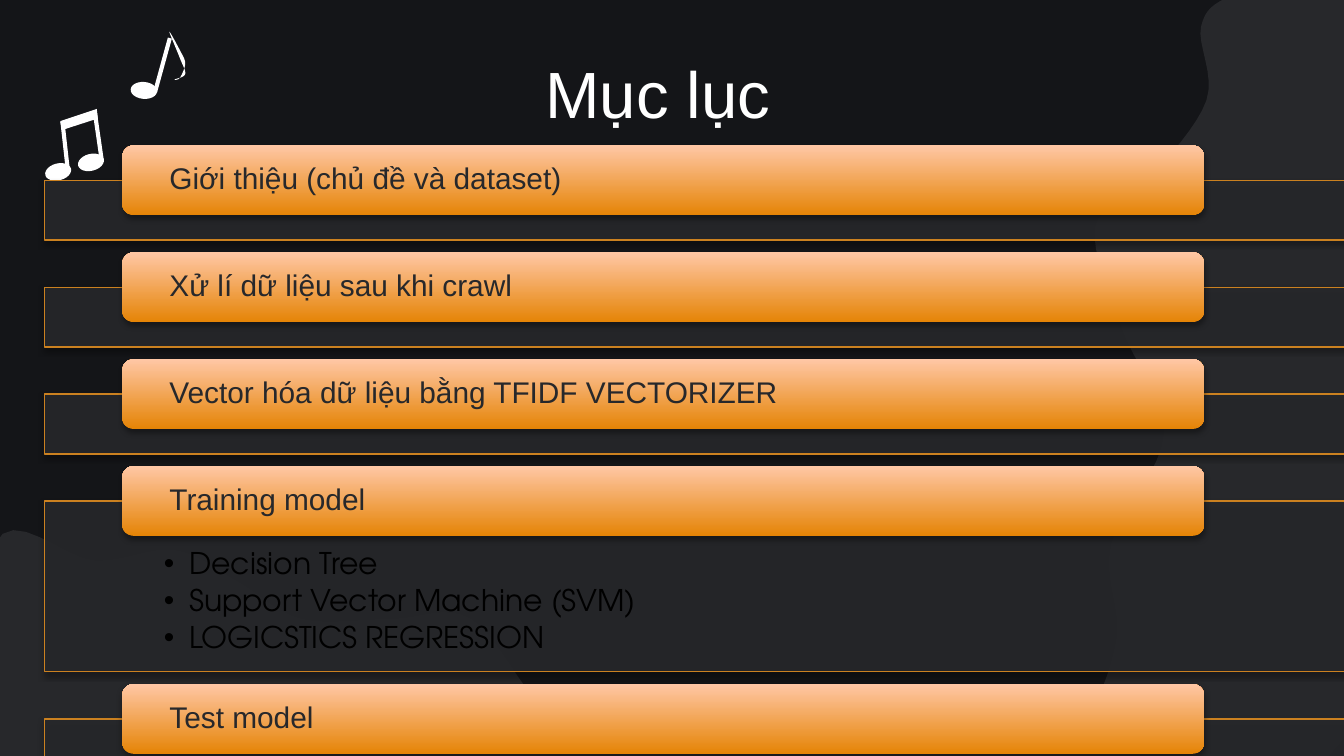
from lxml import etree
from pptx import Presentation, util as u
from pptx.dml.color import RGBColor
from pptx.enum import shapes, text
from pptx.oxml.ns import qn

COLORS = {"night": "141518", "panel": "27282B", "edge": "CB8120", "white": "FFFFFF",
          "black": "000000", "amber": "E58406", "peach": "FFC7A5"}
TITLE = "Mục lục"
SECTIONS = [
    ("Giới thiệu (chủ đề và dataset)", []),
    ("Xử lí dữ liệu sau khi crawl", []),
    ("Vector hóa dữ liệu bằng TFIDF VECTORIZER", []),
    ("Training model", ["Decision Tree", "Support Vector Machine (SVM)",
                        "LOGICSTICS REGRESSION"]),
    ("Test model", []),
]

# Decoration, in centimetres
RIGHT_BLOB = [(25, -0.6), (23.3, -0.1), (22.7, 0.5), (22.8, 1.9), (21.7, 3.4), (20.7, 4.3),
              (21.2, 6.2), (22, 8.2), (21, 10.3), (21.1, 12.1), (20.4, 13.8), (19.2, 14.6),
              (25.1, 14.3), (25.9, 9), (25.8, 0.3)]
LEFT_BLOB = [(-0.1, 10.3), (1.8, 10.6), (3.3, 10.4), (4.5, 11), (5.7, 11.7), (7.4, 11.7),
             (8.9, 11.7), (10.3, 13.4), (11.7, 13.9), (12.7, 14.2), (8, 14.9), (-0.1, 15.2)]
FLAG = [(3.2, 0.6), (3.4, 1.1), (3.5, 1.4), (3.3, 1.5), (3.4, 1.47), (3.5, 1.2), (3.4, 0.95)]
BEAM = [(1.83, 2.06), (1.14, 2.29), (1.17, 2.46), (1.85, 2.24)]
STEMS = [(1.18, 2.3, 1.28, 3.2), (1.79, 2.11, 1.92, 3.01), (3.21, 0.72, 2.93, 1.74)]
HEADS = [(1.1, 3.25, -14), (1.72, 3.07, -14), (2.72, 1.71, 5)]
HEAD_WIDTH, HEAD_HEIGHT = 0.5, 0.32

# Agenda layout, in centimetres
FIRST_PANEL_TOP, PANEL_GAP, BAR_RISE = 3.41, 0.89, 0.66
PANEL_HEIGHT, PANEL_HEIGHT_WITH_TOPICS = 1.13, 3.23
PANEL_LEFT, PANEL_WIDTH = 0.84, 29.21
BAR_LEFT, BAR_WIDTH, BAR_HEIGHT = 2.31, 20.45, 1.32
CURVE_STEPS = 8


def rgb(name):
    return RGBColor.from_string(COLORS[name])


def set_all(target, values):
    for key, value in values.items():
        setattr(target, key, value)


def smooth(points):
    """Run a closed Catmull-Rom curve through the points."""
    curve = []
    for i, b in enumerate(points):
        a, c, d = points[i - 1], points[(i + 1) % len(points)], points[(i + 2) % len(points)]
        for step in range(CURVE_STEPS):
            t = step / CURVE_STEPS
            curve.append(tuple(
                q + t / 2 * (r - p + t * (2 * p - 5 * q + 4 * r - s
                                          + t * (3 * (q - r) + s - p)))
                for p, q, r, s in zip(a, b, c, d)))
    return curve


def paint(figure, color):
    figure.shadow.inherit = False
    figure.fill.solid()
    figure.fill.fore_color.rgb = rgb(color)
    figure.line.fill.background()


def add_outline(points, color):
    corners = [(u.Cm(x), u.Cm(y)) for x, y in points]
    builder = slide.shapes.build_freeform(*corners[0])
    builder.add_line_segments(corners[1:], close=True)
    paint(builder.convert_to_shape(), color)


def add_stem(*ends):
    stem = slide.shapes.add_connector(shapes.MSO_CONNECTOR.STRAIGHT, *map(u.Cm, ends))
    stem.line.color.rgb = rgb("white")
    stem.line.width = u.Pt(2.2)
    etree.SubElement(stem._element.spPr, qn("a:effectLst"))


def add_head(x, y, tilt):
    head = slide.shapes.add_shape(
        shapes.MSO_SHAPE.OVAL, u.Cm(x - HEAD_WIDTH / 2), u.Cm(y - HEAD_HEIGHT / 2),
        u.Cm(HEAD_WIDTH), u.Cm(HEAD_HEIGHT))
    head.rotation = tilt
    paint(head, "white")


def add_box(kind, *place):
    """Add a preset shape, placed in centimetres, with a soft shadow below."""
    box = slide.shapes.add_shape(kind, *map(u.Cm, place))
    box.shadow.inherit = False
    effects = box._element.spPr.find(qn("a:effectLst"))
    shadow = etree.SubElement(effects, qn("a:outerShdw"), blurRad="40000", dist="23000",
                              dir="5400000", rotWithShape="0")
    color = etree.SubElement(shadow, qn("a:srgbClr"), val=COLORS["black"])
    etree.SubElement(color, qn("a:alpha"), val="35000")
    return box


def write(frame, lines, font, color, spacing, **layout):
    set_all(frame, {"word_wrap": True, **layout})
    frame.text = "\n".join(lines)
    for paragraph in frame.paragraphs:
        set_all(paragraph, {"alignment": text.PP_ALIGN.LEFT, "line_spacing": 0.9,
                            "space_after": u.Pt(spacing)})
        set_all(paragraph.runs[0].font, {"name": font, "size": u.Pt(16)})
        paragraph.runs[0].font.color.rgb = rgb(color)


def add_panel(top, height, topics):
    panel = add_box(shapes.MSO_SHAPE.RECTANGLE, PANEL_LEFT, top, PANEL_WIDTH, height)
    panel.fill.solid()
    panel.fill.fore_color.rgb = rgb("panel")
    fill_color = panel._element.spPr.find(qn("a:solidFill"))[0]
    etree.SubElement(fill_color, qn("a:alpha"), val="90000")
    panel.line.color.rgb = rgb("edge")
    panel.line.width = u.Pt(0.75)
    if not topics:
        return
    write(panel.text_frame, topics, "TeX Gyre Adventor", "black", 2.4,
          vertical_anchor=text.MSO_ANCHOR.TOP, margin_left=u.Cm(2.26),
          margin_right=u.Cm(2.26), margin_top=u.Cm(0.91), margin_bottom=u.Cm(0.3))
    indent = u.Cm(0.48)
    for paragraph in panel.text_frame.paragraphs:
        properties = paragraph._p.get_or_add_pPr()
        properties.attrib.update({"lvl": "1", "marL": str(indent), "indent": str(-indent)})
        etree.SubElement(properties, qn("a:buFont"), typeface="Arial")
        etree.SubElement(properties, qn("a:buChar"), char="•")


def add_bar(top, heading):
    bar = add_box(shapes.MSO_SHAPE.ROUNDED_RECTANGLE, BAR_LEFT, top, BAR_WIDTH, BAR_HEIGHT)
    bar.fill.gradient()
    bar.fill.gradient_angle = 90
    for stop, color in zip(bar.fill.gradient_stops, ("amber", "peach")):
        stop.color.rgb = rgb(color)
    bar.line.fill.background()
    write(bar.text_frame, [heading], "Arial", "panel", 0,
          vertical_anchor=text.MSO_ANCHOR.MIDDLE, margin_left=u.Cm(0.83),
          margin_right=u.Cm(0.83), margin_top=0, margin_bottom=0)


deck = Presentation()
set_all(deck, {"slide_width": u.Cm(25.4), "slide_height": u.Cm(14.29)})
slide = deck.slides.add_slide(deck.slide_layouts[5])
slide.background.fill.solid()
slide.background.fill.fore_color.rgb = rgb("night")

for blob in (RIGHT_BLOB, LEFT_BLOB):
    add_outline(smooth(blob), "panel")

title = slide.shapes.title
set_all(title, {"left": u.Cm(1.73), "top": u.Cm(0.76), "width": u.Cm(21.41),
                "height": u.Cm(1.6)})
title.text = TITLE
set_all(title.text_frame, {"vertical_anchor": text.MSO_ANCHOR.TOP, "margin_top": u.Cm(0.25),
                           "margin_bottom": u.Cm(0.25)})
title_line = title.text_frame.paragraphs[0]
title_line.alignment = text.PP_ALIGN.CENTER
set_all(title_line.runs[0].font, {"name": "Arial", "size": u.Pt(35)})
title_line.runs[0].font.color.rgb = rgb("white")

for head in HEADS:
    add_head(*head)
for stem in STEMS:
    add_stem(*stem)
add_outline(BEAM, "white")
add_outline(smooth(FLAG), "white")

panel_top = FIRST_PANEL_TOP
for heading, topics in SECTIONS:
    panel_height = PANEL_HEIGHT_WITH_TOPICS if topics else PANEL_HEIGHT
    add_panel(panel_top, panel_height, topics)
    add_bar(panel_top - BAR_RISE, heading)
    panel_top += panel_height + PANEL_GAP

deck.save("out.pptx")
